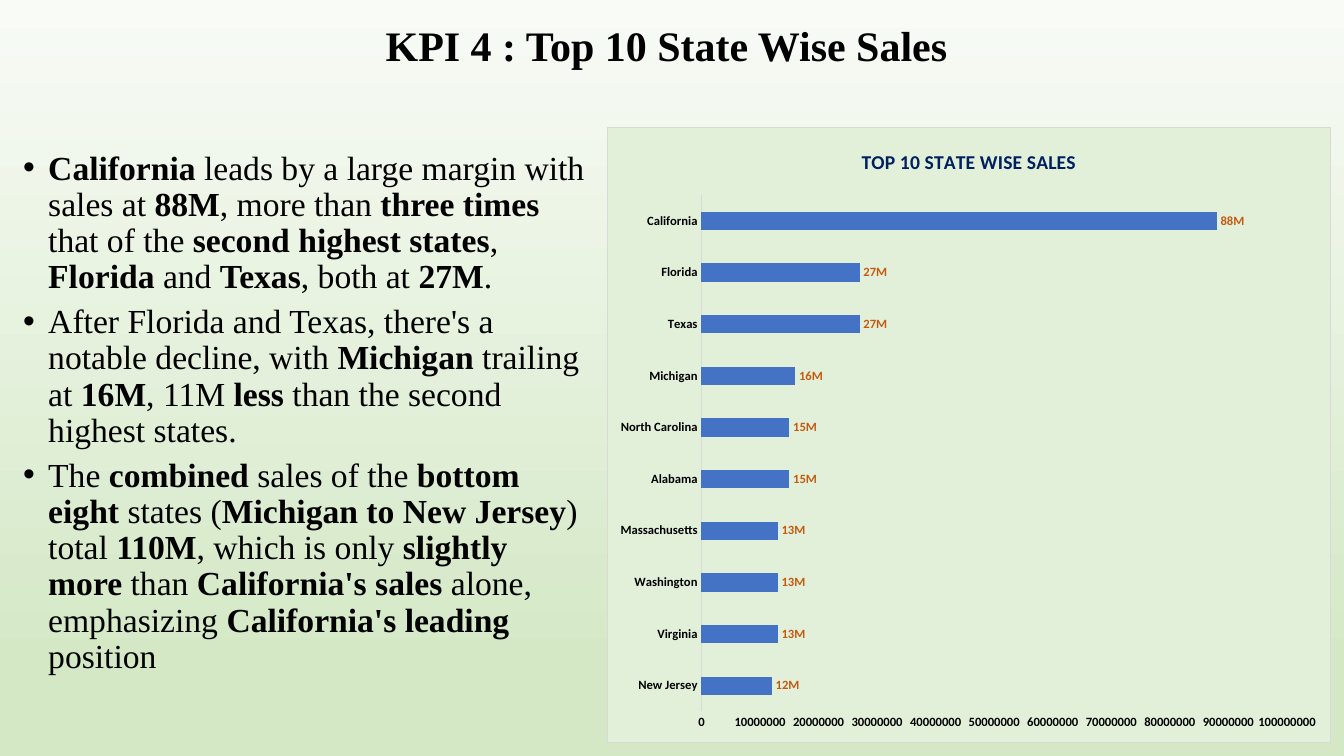
from lxml import etree
from pptx import Presentation
from pptx.chart.data import CategoryChartData
from pptx.dml.color import RGBColor
from pptx.enum.chart import XL_CHART_TYPE, XL_LABEL_POSITION, XL_TICK_MARK
from pptx.enum.text import MSO_ANCHOR, PP_ALIGN
from pptx.oxml import parse_xml
from pptx.oxml.ns import nsdecls, qn
from pptx.util import Inches, Pt

BAR = XL_CHART_TYPE.BAR_CLUSTERED
OUTSIDE = XL_LABEL_POSITION.OUTSIDE_END
NO_TICK = XL_TICK_MARK.NONE
MIDDLE = MSO_ANCHOR.MIDDLE
CENTER = PP_ALIGN.CENTER

COLORS = {
    "bg_top": "F8FBF6", "bg_bottom": "D4E8C6", "text": "000000",
    "panel": "E2F0D9", "line": "D9D9D9", "bar": "4472C4",
    "heading": "002060", "label": "C55A11",
}
SERIF, SANS = "Times New Roman", "Calibri"
MILLION = 1_000_000

# Each bullet alternates bold and regular pieces, starting with bold.
BULLETS = [
    ["California", " leads by a large margin with sales at ", "88M",
     ", more than ", "three times ", "that of the ", "second highest states",
     ", ", "Florida", " and ", "Texas", ", both at ", "27M", "."],
    ["", "After Florida and Texas, there's a notable decline, with ",
     "Michigan ", "trailing at ", "16M", ", 11M ", "less",
     " than the second highest states."],
    ["", "The ", "combined", " sales of the ", "bottom eight ", "states (",
     "Michigan to New Jersey", ") total ", "110M", ", which is only ",
     "slightly more ", "than ", "California's sales ",
     "alone, emphasizing ", "California's leading", " position"],
]
SALES = {
    "New Jersey": 12, "Virginia": 13, "Washington": 13, "Massachusetts": 13,
    "Alabama": 15, "North Carolina": 15, "Michigan": 16, "Texas": 27,
    "Florida": 27, "California": 88,
}


def rgb(name):
    return RGBColor.from_string(COLORS[name])


def set_font(font, name, size, color="text", bold=True):
    values = {"name": name, "size": Pt(size), "bold": bold}
    for key, value in values.items():
        setattr(font, key, value)
    font.color.rgb = rgb(color)


prs = Presentation()
prs.slide_width, prs.slide_height = Inches(13.33), Inches(7.5)
s = prs.slides.add_slide(prs.slide_layouts[5])

# Background gradient, running downwards
fill = s.background.fill
fill.gradient()
fill.gradient_angle = 270
for stop, color, position in zip(fill.gradient_stops, ("bg_top", "bg_bottom"), (0, 0.88)):
    stop.color.rgb = rgb(color)
    stop.position = position

# Title
title = s.shapes.title
title.left, title.top = 0, Inches(0.13)
title.width, title.height = prs.slide_width, Inches(0.7)
tf = title.text_frame
tf.vertical_anchor = MIDDLE
p = tf.paragraphs[0]
p.alignment = CENTER
p.line_spacing = 0.9
r = p.add_run()
r.text = "KPI 4 : Top 10 State Wise Sales "
set_font(r.font, SERIF, 30)

# Findings
box = s.shapes.add_textbox(Inches(0.13), Inches(1.45), Inches(5.78), Inches(5.71))
tf = box.text_frame
tf.word_wrap = True
for i, pieces in enumerate(BULLETS):
    p = tf.add_paragraph() if i else tf.paragraphs[0]
    p.line_spacing = 0.9
    p.space_before = Pt(6)
    pPr = p._p.get_or_add_pPr()
    pPr.set("marL", str(Inches(0.25)))
    pPr.set("indent", str(-Inches(0.25)))
    etree.SubElement(pPr, qn("a:buFont")).set("typeface", "Arial")
    etree.SubElement(pPr, qn("a:buChar")).set("char", "•")
    for j, piece in enumerate(pieces):
        if piece:
            r = p.add_run()
            r.text = piece
            set_font(r.font, SERIF, 24, bold=j % 2 == 0)

# Sales chart
data = CategoryChartData()
data.categories = list(SALES)
data.add_series("Series 1", [value * MILLION for value in SALES.values()])
chart = s.shapes.add_chart(BAR, Inches(6.02), Inches(1.26),
                           Inches(7.18), Inches(6.11), data).chart
set_font(chart.font, SANS, 10, bold=False)
chart.has_legend = False
chart.has_title = True
p = chart.chart_title.text_frame.paragraphs[0]
r = p.add_run()
r.text = "TOP 10 STATE WISE SALES"
set_font(r.font, SANS, 14, "heading")
chart.chart_title.include_in_layout = False

for axis in (chart.category_axis, chart.value_axis):
    axis.major_tick_mark = axis.minor_tick_mark = NO_TICK
    axis.has_major_gridlines = False
    set_font(axis.tick_labels.font, SANS, 9)
line = chart.category_axis.format.line
line.color.rgb = rgb("line")
line.width = Pt(0.75)
axis = chart.value_axis
axis.format.line.fill.background()
axis.minimum_scale, axis.maximum_scale = 0, 100 * MILLION
axis.major_unit = 10 * MILLION
axis.tick_labels.number_format = "0"
axis.tick_labels.number_format_is_linked = False

plot = chart.plots[0]
plot.gap_width = 182
plot.vary_by_categories = False
bars = plot.series[0].format.fill
bars.solid()
bars.fore_color.rgb = rgb("bar")
plot.has_data_labels = True
labels = plot.data_labels
labels.show_value = True
labels.position = OUTSIDE
labels.number_format = '#,##0,,"M"'
labels.number_format_is_linked = False
set_font(labels.font, SANS, 9, "label")

# Plot area as shares of the chart, then the panel's fill and border
plot_area = chart._chartSpace.chart.plotArea
for old in plot_area.findall(qn("c:layout")):
    plot_area.remove(old)
shares = "".join(f'<c:{key} val="{value}"/>' for key, value in
                 {"x": 0.13, "y": 0.11, "w": 0.81, "h": 0.84}.items())
plot_area.insert(0, parse_xml(
    f'<c:layout {nsdecls("c")}><c:manualLayout><c:layoutTarget val="inner"/>'
    f'<c:xMode val="edge"/><c:yMode val="edge"/>{shares}</c:manualLayout></c:layout>'))
chart._chartSpace.chart.addnext(parse_xml(
    f'<c:spPr {nsdecls("c", "a")}>'
    f'<a:solidFill><a:srgbClr val="{COLORS["panel"]}"/></a:solidFill>'
    f'<a:ln w="{Pt(0.75)}"><a:solidFill><a:srgbClr val="{COLORS["line"]}"/>'
    f'</a:solidFill></a:ln></c:spPr>'))

prs.save("out.pptx")
